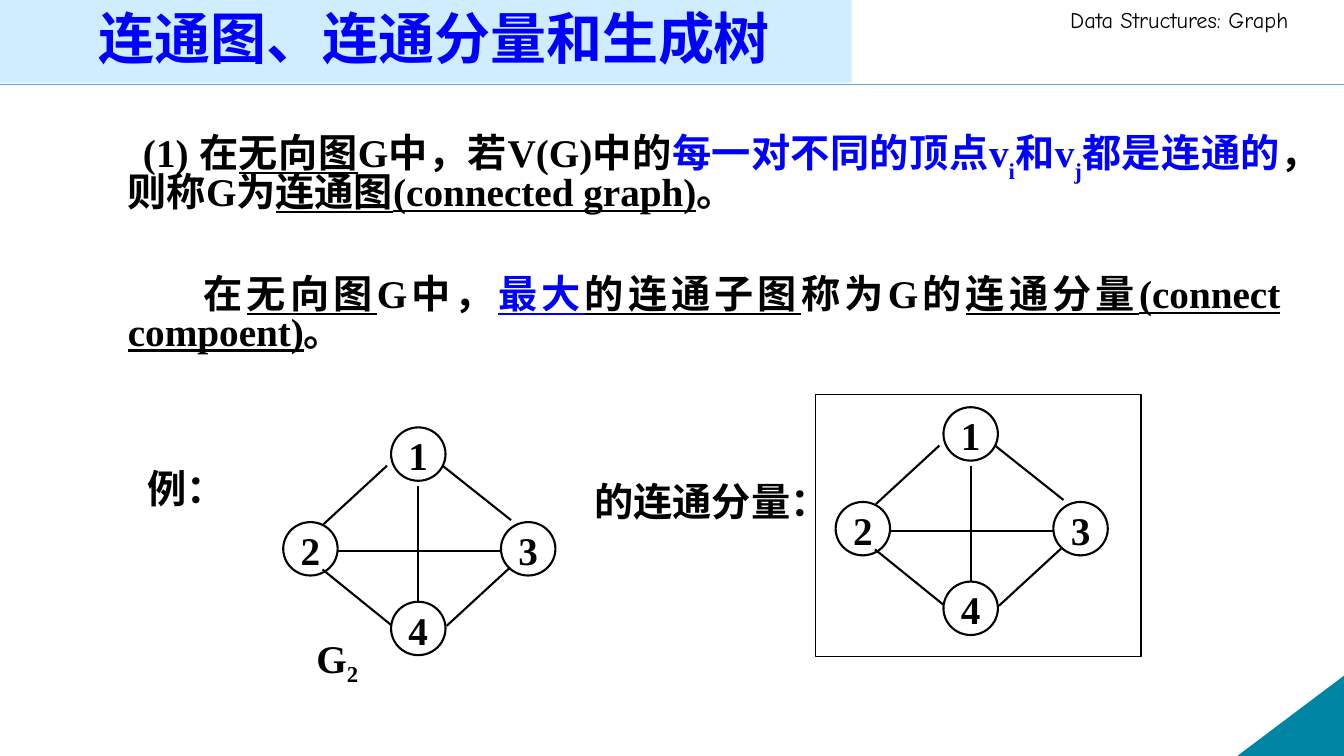
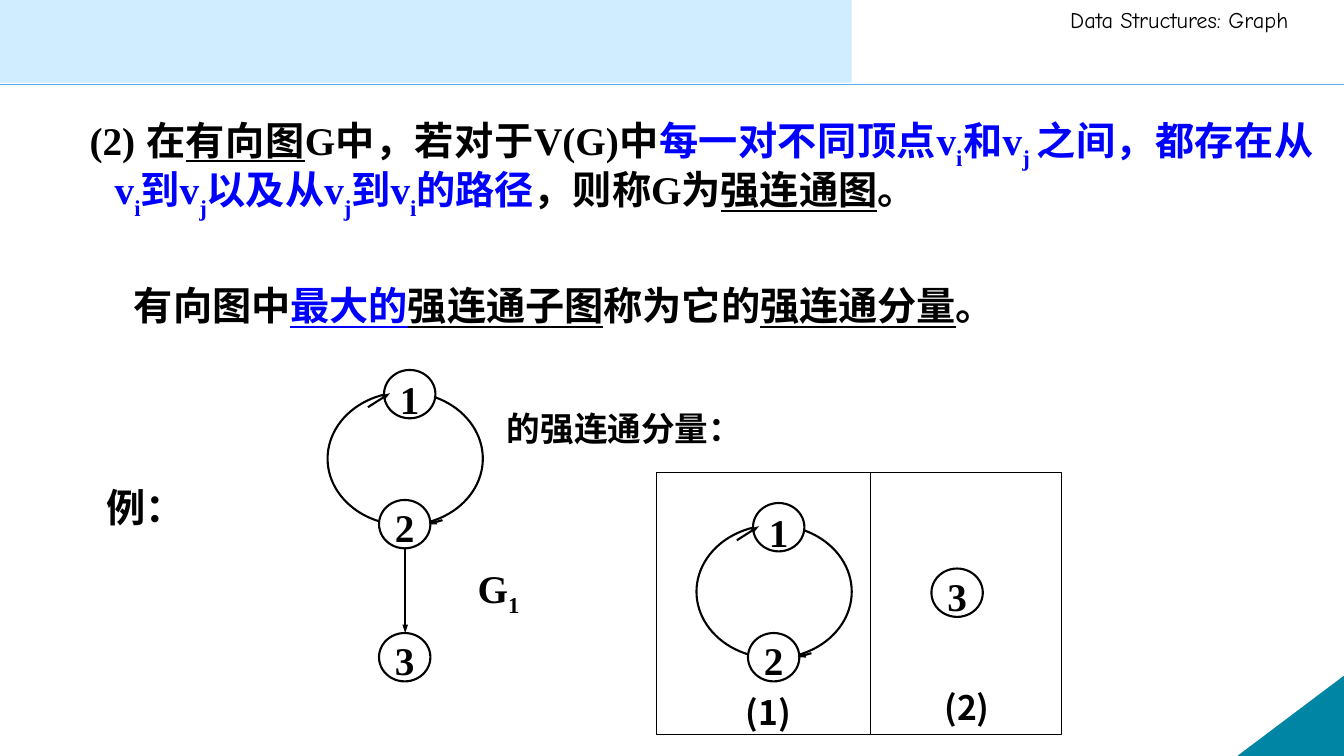
from dataclasses import dataclass
from functools import partial

from lxml import etree
from pptx import Presentation
from pptx.dml.color import RGBColor
from pptx.enum.shapes import MSO_CONNECTOR, MSO_SHAPE
from pptx.enum.text import MSO_ANCHOR, PP_ALIGN
from pptx.oxml.ns import qn
from pptx.util import Inches, Pt

STRAIGHT = MSO_CONNECTOR.STRAIGHT
RECT, OVAL = MSO_SHAPE.RECTANGLE, MSO_SHAPE.OVAL
CIRCLE, CORNER = MSO_SHAPE.FLOWCHART_CONNECTOR, MSO_SHAPE.RIGHT_TRIANGLE
LEFT, CENTER, RIGHT, JUSTIFY = PP_ALIGN.LEFT, PP_ALIGN.CENTER, PP_ALIGN.RIGHT, PP_ALIGN.JUSTIFY
TOP, MIDDLE = MSO_ANCHOR.TOP, MSO_ANCHOR.MIDDLE

# The slide is a grid of square cells, ten to the inch; all lengths are in cells.
COLS, ROWS = 133.33, 75


@dataclass(frozen=True)
class Theme:
    ink: str = "000000"
    accent: str = "0000FF"
    paper: str = "FFFFFF"
    band: str = "CFEDFE"
    rule: str = "5AAAED"
    corner: str = "0085A4"
    serif: str = "Times New Roman"
    hand: str = "Comic Neue"
    cjk: str = "Noto Sans CJK SC"
    title: int = 40
    body: int = 28
    caption: int = 24
    header: int = 16
    thin: float = 0.75
    thick: float = 1.5


THEME = Theme()


@dataclass(frozen=True)
class Run:
    text: str
    color: str = THEME.ink
    under: bool = False
    base: int = 0


@dataclass(frozen=True)
class Para:
    runs: tuple[Run, ...]
    first: float = 0
    left: float = 0


@dataclass(frozen=True)
class Node:
    label: str
    x: float
    y: float
    w: float = 5.4
    h: float = 5.3
    drop: float = 0.1


@dataclass(frozen=True)
class Edge:
    x1: float
    y1: float
    x2: float
    y2: float
    arrow: bool = False


@dataclass(frozen=True)
class Graph:
    nodes: tuple[Node, ...]
    edges: tuple[Edge, ...] = ()
    loop: tuple[float, float, float, float] | None = None


Under = partial(Run, under=True)
Blue = partial(Run, color=THEME.accent)
Sub = partial(Run, color=THEME.accent, base=-30)
SmallNode = partial(Node, w=5.1, h=4.8, drop=0.3)
Arrow = partial(Edge, arrow=True)

DIAMOND = Graph(
    nodes=(Node("1", 10.7, 0), Node("2", 0, 9.4), Node("3", 21.6, 9.4), Node("4", 10.7, 17.3)),
    edges=(
        Edge(10.3, 3.8, 4, 9.6),
        Edge(3.9, 14.1, 10.7, 19.6),
        Edge(22.6, 9.2, 15.8, 3.8),
        Edge(22.5, 13.9, 16.2, 19.7),
        Edge(5.4, 12.3, 21.6, 12.3),
        Edge(13.4, 5.8, 13.4, 17.3),
    ),
)
CYCLE = Graph(
    nodes=(SmallNode("1", 5.6, 0, drop=0.5), SmallNode("2", 5.1, 12.9)),
    edges=(Arrow(4, 3.7, 6.2, 2.3), Arrow(11.4, 14.9, 10, 15.3)),
    loop=(0, 2.2, 15.4, 13.2),
)
SINGLE = Graph(nodes=(SmallNode("3", 0, 0),))
TAIL = Arrow(2.6, -8.4, 2.6, 0)

CONNECTED = (
    Para(
        (
            Run("(1) 在"), Under("无向图"), Run("G中，若V(G)中的"),
            Blue("每一对不同的顶点v"), Sub("i"), Blue("和v"), Sub("j"), Blue("都是连通的"),
            Run("，则称G为"), Under("连通图(connected graph)"), Run("。"),
        ),
        first=1.5, left=2.5,
    ),
    Para(
        (
            Run("在"), Under("无向图"), Run("G中，"), Blue("最大", under=True),
            Under("的连通子图"), Run("称为G的"), Under("连通分量(connect compoent)"), Run("。"),
        ),
        first=7.5, left=2.5,
    ),
)
STRONGLY_CONNECTED = (
    Para(
        (
            Run("(2) 在"), Under("有向图"), Run("G中，若对于V(G)中"),
            Blue("每一对不同顶点v"), Sub("i"), Blue("和v"), Sub("j "),
            Blue("之间，都存在从v"), Sub("i"), Blue("到v"), Sub("j"),
            Blue("以及从v"), Sub("j"), Blue("到v"), Sub("i"), Blue("的路径"),
            Run("，则称G为"), Under("强连通图"), Run("。"),
        ),
        first=-2.5, left=2.5,
    ),
    Para(
        (
            Run("有向图中"), Blue("最大的", under=True), Under("强连通子图"),
            Run("称为它的"), Under("强连通分量"), Run("。"),
        ),
        first=1.9, left=2.5,
    ),
)


def cells(n: float) -> int:
    return Inches(n / 10)


def rgb(color: str) -> RGBColor:
    return RGBColor.from_string(color)


def plain(text: str, color: str = THEME.ink) -> tuple[Para, ...]:
    return (Para((Run(text, color),)),)


def write(tf, paras, *, size=THEME.body, font=THEME.serif, bold=True, align=LEFT,
          spacing=1.0, gap=0, wrap=False, anchor=TOP, insets=(1, 0.5, 1, 0.5)) -> None:
    """Fill a text frame; insets are left, top, right, bottom."""
    tf.word_wrap = wrap
    tf.vertical_anchor = anchor
    tf.margin_left, tf.margin_top, tf.margin_right, tf.margin_bottom = map(cells, insets)
    for i, para in enumerate(paras):
        p = tf.paragraphs[0] if i == 0 else tf.add_paragraph()
        p.alignment = align
        p.line_spacing = spacing
        p.space_before = Pt(gap if i else 0)
        pPr = p._p.get_or_add_pPr()
        pPr.set("marL", str(cells(para.left)))
        pPr.set("indent", str(cells(para.first)))
        for run in para.runs:
            r = p.add_run()
            r.text = run.text
            r.font.size = Pt(size)
            r.font.bold = bold
            r.font.underline = run.under
            r.font.color.rgb = rgb(run.color)
            r.font.name = font
            rPr = r._r.get_or_add_rPr()
            etree.SubElement(rPr, qn("a:ea")).set("typeface", THEME.cjk)
            if run.base:
                rPr.set("baseline", str(run.base * 1000))


def text(slide, x: float, y: float, w: float, h: float, paras, **fmt) -> None:
    sp = slide.shapes.add_textbox(*map(cells, (x, y, w, h)))
    write(sp.text_frame, paras, **fmt)


def shape(slide, kind, x, y, w, h, *, fill=None, line=None, width=THEME.thin):
    sp = slide.shapes.add_shape(kind, *map(cells, (x, y, w, h)))
    sp.shadow.inherit = False
    if fill:
        sp.fill.solid()
        sp.fill.fore_color.rgb = rgb(fill)
    else:
        sp.fill.background()
    if line:
        sp.line.color.rgb = rgb(line)
        sp.line.width = Pt(width)
    else:
        sp.line.fill.background()
    return sp


def connect(slide, edge: Edge, dx=0.0, dy=0.0, *, color=THEME.ink, width=THEME.thick) -> None:
    ends = (edge.x1 + dx, edge.y1 + dy, edge.x2 + dx, edge.y2 + dy)
    sp = slide.shapes.add_connector(STRAIGHT, *map(cells, ends))
    sp.line.color.rgb = rgb(color)
    sp.line.width = Pt(width)
    if edge.arrow:
        head = etree.SubElement(sp.line._get_or_add_ln(), qn("a:tailEnd"))
        for key, value in (("type", "triangle"), ("w", "sm"), ("len", "med")):
            head.set(key, value)
    etree.SubElement(sp._element.spPr, qn("a:effectLst"))


def draw_graph(slide, graph: Graph, x: float, y: float) -> None:
    """Draw a graph whose own coordinates start at x, y."""
    outline = partial(shape, slide, fill=THEME.paper, line=THEME.ink, width=THEME.thick)
    if graph.loop:
        left, top, w, h = graph.loop
        outline(OVAL, x + left, y + top, w, h)
    for node in graph.nodes:
        sp = outline(CIRCLE, x + node.x, y + node.y, node.w, node.h)
        write(sp.text_frame, plain(node.label), align=CENTER, anchor=MIDDLE,
              insets=(0, 2 * node.drop, 0, 0))
    for edge in graph.edges:
        connect(slide, edge, x, y)


def graph_name(slide, x: float, y: float, index: str) -> None:
    text(slide, x, y, 10, 7, (Para((Run("G"), Run(index, base=-25))),))


def example_label(slide, x: float, y: float) -> None:
    text(slide, x, y, 8, 6, plain("例："), insets=(0, 0, 0, 0))


def new_slide(prs, title: str = ""):
    """Add a blank slide with the shared rule, corner, header and title band."""
    slide = prs.slides.add_slide(prs.slide_layouts[6])
    connect(slide, Edge(0, 8.4, COLS, 8.4), color=THEME.rule, width=1)
    w, h = 10.5, 7.9
    corner = shape(slide, CORNER, COLS - w, ROWS - h, w, h, fill=THEME.corner, line=THEME.corner)
    corner._element.spPr.find(qn("a:xfrm")).set("flipH", "1")
    text(slide, 99.8, 0.1, 29, 3.7, plain("Data Structures: Graph"), size=THEME.header,
         font=THEME.hand, bold=False, align=RIGHT, wrap=True)
    shape(slide, RECT, 0, 0, 84.5, 8.2, fill=THEME.band)
    if title:
        text(slide, 8.8, 1.1, 69.5, 6.4, plain(title, THEME.accent), size=THEME.title, spacing=0.8)
    return slide


def connected_slide(prs) -> None:
    slide = new_slide(prs, "连通图、连通分量和生成树")
    text(slide, 9.2, 12.6, 118.8, 24, CONNECTED, align=JUSTIFY, spacing=0.8, gap=46, wrap=True)
    example_label(slide, 14.6, 46.1)
    draw_graph(slide, DIAMOND, 28.1, 42.4)
    graph_name(slide, 30.4, 62.4, "2")
    text(slide, 58, 47.8, 25.6, 4.8, plain("的连通分量："), spacing=0.8)
    draw_graph(slide, DIAMOND, 82.9, 40.4)
    shape(slide, RECT, 80.9, 39.1, 32.3, 26, line=THEME.ink)


def strongly_connected_slide(prs) -> None:
    slide = new_slide(prs)
    text(slide, 7.9, 11, 123.4, 24, STRONGLY_CONNECTED, align=JUSTIFY, spacing=0.9, gap=51,
         wrap=True)
    example_label(slide, 10.6, 47.9)
    draw_graph(slide, CYCLE, 32.5, 36.7)
    draw_graph(slide, SINGLE, 37.6, 62.8)
    connect(slide, TAIL, 37.6, 62.8)
    graph_name(slide, 46.4, 55.5, "1")
    caption = partial(text, slide, size=THEME.caption, spacing=0.8)
    caption(49.3, 40.7, 25.7, 4.2, plain("的强连通分量："))
    draw_graph(slide, CYCLE, 69.1, 49.9)
    draw_graph(slide, SINGLE, 92.4, 56.4)
    for x, y, label in ((73, 68.9, "(1)"), (92.7, 68.4, "(2)")):
        caption(x, y, 7.1, 4.2, plain(label), font=THEME.cjk)
    left, top, w, h = 65.1, 46.9, 40.2, 26
    shape(slide, RECT, left, top, w, h, line=THEME.ink)
    connect(slide, Edge(86.4, top, 86.4, top + h), width=THEME.thin)


def main() -> None:
    prs = Presentation()
    prs.slide_width, prs.slide_height = cells(COLS), cells(ROWS)
    connected_slide(prs)
    strongly_connected_slide(prs)
    prs.save("out.pptx")


if __name__ == "__main__":
    main()
